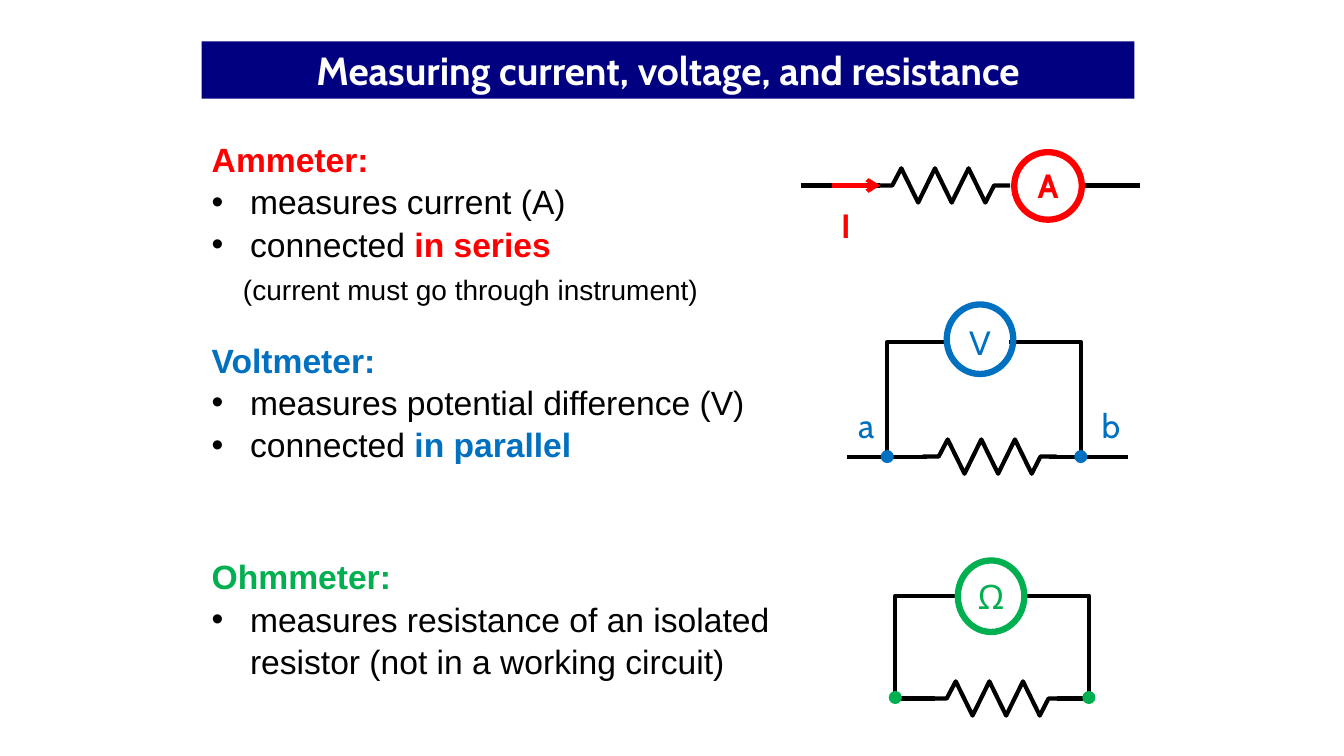
from dataclasses import dataclass

from lxml.etree import SubElement
from pptx import Presentation
from pptx.dml.color import RGBColor as RGB
from pptx.enum.shapes import MSO_CONNECTOR as CONN, MSO_SHAPE as SHAPE
from pptx.enum.text import MSO_ANCHOR as ANCHOR, MSO_AUTO_SIZE as AUTO, PP_ALIGN as ALIGN
from pptx.oxml.ns import qn
from pptx.util import Inches, Pt

HUES = {"black": "000000", "white": "FFFFFF", "navy": "000080",
        "red": "FF0000", "blue": "0070C0", "green": "00B050"}
LEFT = 2
INDENT = 0.38
WIRE = 3
RING = 4.5
DOT = 0.13

Point = tuple[float, float]


@dataclass
class Item:
    text: str
    strong: str = ""
    note: bool = False


@dataclass
class Topic:
    slot: int
    name: str
    hue: str
    top: float
    width: float
    height: float
    items: list[Item]


@dataclass
class Meter:
    """A ring with its letter."""
    hue: str
    ring: tuple[float, float, float, float]
    sign: str
    top: float
    bold: bool = False
    fill: str = ""


@dataclass
class Label:
    text: str
    hue: str
    mid: float
    top: float
    bold: bool = False


@dataclass
class Loop:
    """Two arms from a meter down to the end dots of a resistor."""
    hue: str
    left: float
    right: float
    inner: Point
    top: float
    base: float


TOPICS = [
    Topic(1, "Ammeter:", "red", 1.31, 5.58, 1.72,
          [Item("measures current (A)"), Item("connected ", "in series"),
           Item("(current must go through instrument)", note=True)]),
    Topic(2, "Voltmeter:", "blue", 3.3, 5.53, 1.31,
          [Item("measures potential difference (V)"),
           Item("connected ", "in parallel")]),
    Topic(3, "Ohmmeter:", "green", 5.45, 5.75, 1.31,
          [Item("measures resistance of an isolated resistor "
                "(not in a working circuit)")]),
]
ZIGZAGS = [(8.69, 1.84), (9.15, 4.53), (9.23, 6.93)]
WIRES = [(7.94, 8.73, 1.84), (10.72, 11.31, 1.84),
         (8.4, 9.19, 4.53), (10.4, 11.19, 4.53),
         (8.87, 9.27, 6.93), (10.48, 10.81, 6.93)]
LOOPS = [Loop("blue", 8.8, 10.72, (9.41, 10.01), 3.39, 4.53),
         Loop("green", 8.88, 10.8, (9.5, 10.14), 5.91, 6.92)]
METERS = [Meter("red", (10.06, 1.51, 0.67, 0.67), "A", 1.59, True, "white"),
          Meter("blue", (9.39, 3.02, 0.66, 0.69), "V", 3.14),
          Meter("green", (9.5, 5.56, 0.66, 0.71), "Ω", 5.66)]
LABELS = [Label("I", "red", 8.39, 1.98, True),
          Label("a", "blue", 8.59, 3.97), Label("b", "blue", 11.02, 3.97)]


def tint(name: str) -> RGB:
    return RGB.from_string(HUES[name])


def style(run, size: float, hue: str, bold: bool = False, face: str = "Arial") -> None:
    font = run.font
    font.name, font.size, font.bold = face, Pt(size), bold
    font.color.rgb = tint(hue)


def place(shape, *box: float) -> None:
    shape.left, shape.top, shape.width, shape.height = map(Inches, box)


def indent(para, left: float, hang: float, mark: str = "") -> None:
    props = para._p.get_or_add_pPr()
    props.set("marL", str(Inches(left)))
    props.set("indent", str(Inches(hang)))
    if mark:
        SubElement(props, qn("a:buFont")).set("typeface", "Arial")
        SubElement(props, qn("a:buChar")).set("char", mark)
    else:
        SubElement(props, qn("a:buNone"))


def write(slide, topic: Topic) -> None:
    body = slide.placeholders[topic.slot]
    place(body, LEFT, topic.top, topic.width, topic.height)
    frame = body.text_frame
    frame.auto_size, frame.vertical_anchor = AUTO.NONE, ANCHOR.TOP
    frame.text = "\n".join([topic.name] + [item.text for item in topic.items])
    head, *rest = frame.paragraphs
    indent(head, 0, 0)
    style(head.runs[0], 24, topic.hue, True)
    for para, item in zip(rest, topic.items):
        if item.note:
            indent(para, 0.31, 0)
        else:
            indent(para, INDENT, -INDENT, "•")
        style(para.runs[0], 20 if item.note else 24, "black")
        if item.strong:
            run = para.add_run()
            run.text = item.strong
            style(run, 24, topic.hue, True)
    for para, item in zip(frame.paragraphs, [None, *topic.items]):
        para.space_before = Pt(5 if item and item.note else 0)
        para.line_spacing = 1.05


def wire(slide, start: float, end: float, y: float, hue: str = "black"):
    line = slide.shapes.add_connector(
        CONN.STRAIGHT, Inches(start), Inches(y), Inches(end), Inches(y))
    line.line.width = Pt(WIRE)
    line.line.color.rgb = tint(hue)
    SubElement(line._element.spPr, qn("a:effectLst"))
    return line


def trace(slide, points: list[Point]) -> None:
    start, *rest = [(Inches(x), Inches(y)) for x, y in points]
    build = slide.shapes.build_freeform(*start)
    build.add_line_segments(rest, close=False)
    shape = build.convert_to_shape()
    shape.shadow.inherit = False
    shape.fill.background()
    shape.line.width = Pt(WIRE)
    shape.line.color.rgb = tint("black")


def zigzag(slide, x: float, y: float) -> None:
    peaks = [(x + 0.25 + i / 6, y + 0.17 * (-1) ** (i + 1)) for i in range(6)]
    trace(slide, [(x, y), (x + 0.16, y), *peaks, (x + 1.17, y), (x + 1.33, y)])


def oval(slide, box: tuple[float, float, float, float], fill: str = "", edge: str = "") -> None:
    shape = slide.shapes.add_shape(SHAPE.OVAL, *map(Inches, box))
    shape.shadow.inherit = False
    if fill:
        shape.fill.solid()
        shape.fill.fore_color.rgb = tint(fill)
    else:
        shape.fill.background()
    if edge:
        shape.line.width = Pt(RING)
        shape.line.color.rgb = tint(edge)
    else:
        shape.line.fill.background()


def letter(slide, label: Label) -> None:
    box = slide.shapes.add_textbox(
        Inches(label.mid - 0.2), Inches(label.top), Inches(0.4), Inches(0.5))
    frame = box.text_frame
    frame.word_wrap = True
    frame.margin_left = frame.margin_right = 0
    frame.text = label.text
    frame.paragraphs[0].alignment = ALIGN.CENTER
    style(frame.paragraphs[0].runs[0], 24, label.hue, label.bold, "Cabin")


def circuit(slide, loop: Loop) -> None:
    for side, inner in zip((loop.left, loop.right), loop.inner):
        trace(slide, [(inner, loop.top), (side, loop.top), (side, loop.base)])
        oval(slide, (side - DOT / 2, loop.base - DOT / 2, DOT, DOT), loop.hue)


def main() -> None:
    deck = Presentation()
    deck.slide_width, deck.slide_height = Inches(13.33), Inches(7.5)
    slide = deck.slides.add_slide(deck.slide_layouts.get_by_name("Comparison"))
    spare = slide.placeholders[4]._element
    spare.getparent().remove(spare)

    title = slide.shapes.title
    place(title, LEFT, 0.41, 9.25, 0.57)
    title.fill.solid()
    title.fill.fore_color.rgb = tint("navy")
    title.text_frame.text = "Measuring current, voltage, and resistance"
    title.text_frame.auto_size = AUTO.NONE
    title.text_frame.paragraphs[0].alignment = ALIGN.CENTER
    style(title.text_frame.paragraphs[0].runs[0], 28, "white", True, "Cabin")

    for topic in TOPICS:
        write(slide, topic)
    for spot in ZIGZAGS:
        zigzag(slide, *spot)
    for span in WIRES:
        wire(slide, *span)
    flow = wire(slide, 8.25, 8.73, 1.84, "red")
    SubElement(flow.line._get_or_add_ln(), qn("a:tailEnd")).set("type", "arrow")
    for loop in LOOPS:
        circuit(slide, loop)
    for meter in METERS:
        oval(slide, meter.ring, meter.fill, meter.hue)
        mid = meter.ring[0] + meter.ring[2] / 2
        letter(slide, Label(meter.sign, meter.hue, mid, meter.top, meter.bold))
    for label in LABELS:
        letter(slide, label)
    deck.save("out.pptx")


if __name__ == "__main__":
    main()
